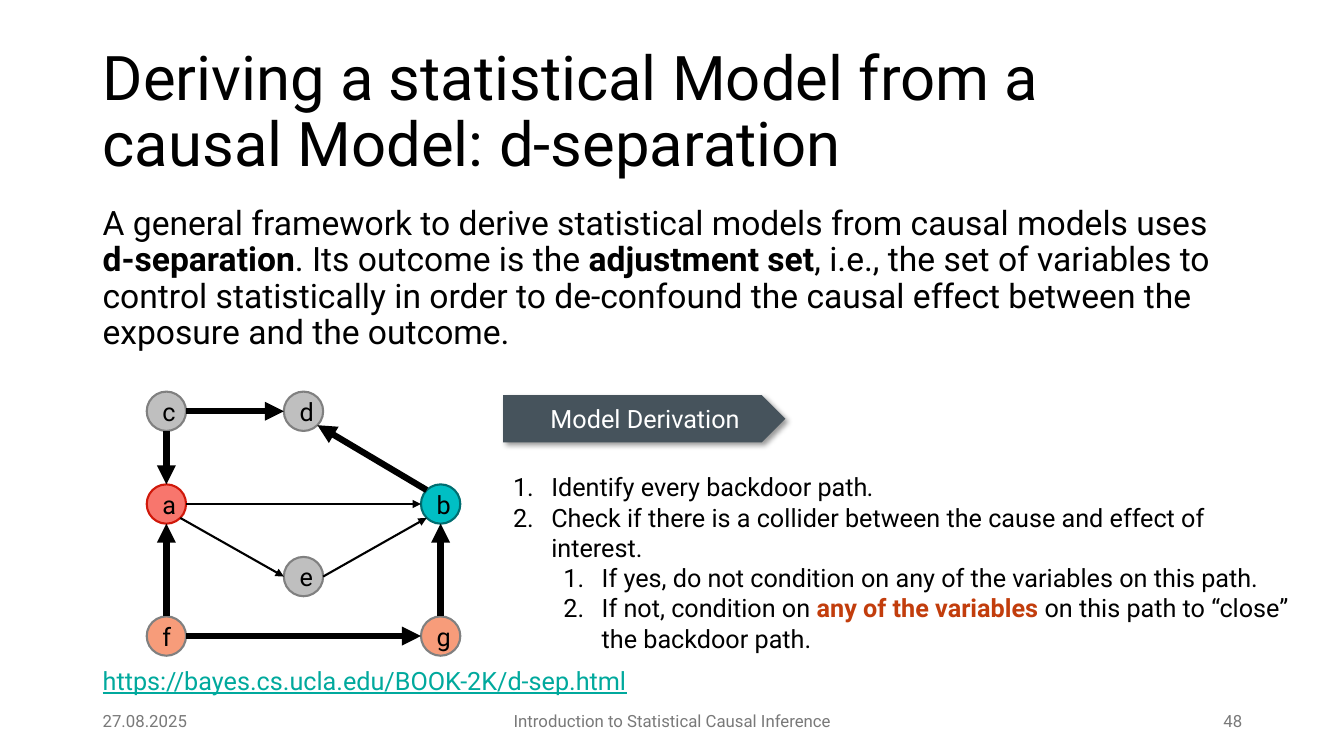
from pptx import Presentation
from pptx.dml.color import RGBColor
from pptx.enum.shapes import MSO_CONNECTOR as Connector, MSO_SHAPE as Preset
from pptx.enum.text import MSO_ANCHOR as Anchor, PP_ALIGN as Align
from pptx.oxml import parse_xml
from pptx.oxml.ns import nsdecls
from pptx.util import Inches, Pt

THEME = {
    "font": "Roboto",
    "title": 44, "body": 24, "text": 18, "footer": 12,
    "black": "000000", "white": "FFFFFF", "muted": "797979",
    "link": "00A99D", "accent": "C23D0C", "banner": "46535C",
    "exposure": ("F8766D", "D0180A"), "outcome": ("00BFC4", "006D70"),
    "neutral": ("BFBFBF", "808080"), "adjusted": ("F79C7A", "808080"),
    "thin": 1.5, "thick": 4.5,
}

TITLE = [("Deriving a statistical Model from a causal Model: d-separation", {})]
BODY = [
    ("A general framework to derive statistical models from causal models uses ", {}),
    ("d-separation", {"bold": True}),
    (". Its outcome is the ", {}),
    ("adjustment set", {"bold": True}),
    (", i.e., the set of variables to control statistically in order to de-confound "
     "the causal effect between the exposure and the outcome.", {}),
]
LINK = [("https://bayes.cs.ucla.edu/BOOK-2K/d-sep.html", {"underline": True})]
BANNER = [("Model Derivation", {})]
STEPS = [
    (0, [("Identify every backdoor path", {}), (".", {"italic": True})]),
    (0, [("Check if there is a collider between the cause and effect of interest.", {})]),
    (1, [("If yes, do not condition on any of the variables on this path.", {})]),
    (1, [("If not, condition on ", {}),
         ("any of the variables ", {"bold": True, "color": "accent"}),
         ("on this path to “close” the backdoor path.", {})]),
]
FOOTERS = [
    ("27.08.2025", 0.92, 3, Align.LEFT),
    ("Introduction to Statistical Causal Inference", 4.42, 4.5, Align.CENTER),
    ("48", 9.42, 3, Align.RIGHT),
]
COLUMNS = (1.65, 3.01, 4.37)
ROWS = (4.08, 5.0, 5.72, 6.31)
NODE_SIZE = 0.39
NODES = {
    "a": (0, 1, "exposure"), "b": (2, 1, "outcome"), "c": (0, 0, "neutral"),
    "d": (1, 0, "neutral"), "e": (1, 2, "neutral"), "f": (0, 3, "adjusted"),
    "g": (2, 3, "adjusted"),
}
DIAGONAL = 0.71
SIDES = {
    "top": (0, -1), "bottom": (0, 1), "left": (-1, 0), "right": (1, 0),
    "top left": (-DIAGONAL, -DIAGONAL), "bottom left": (-DIAGONAL, DIAGONAL),
    "bottom right": (DIAGONAL, DIAGONAL), "top right": (DIAGONAL, -DIAGONAL),
}
EDGES = [
    ("a", "right", "b", "left", "thin"),
    ("e", "right", "b", "bottom left", "thin"),
    ("a", "bottom right", "e", "left", "thin"),
    ("c", "bottom", "a", "top", "thick"),
    ("c", "right", "d", "left", "thick"),
    ("b", "top left", "d", "bottom right", "thick"),
    ("f", "top", "a", "bottom", "thick"),
    ("f", "right", "g", "left", "thick"),
    ("g", "top", "b", "bottom", "thick"),
]


def rgb(value):
    return RGBColor.from_string(value)


def write(paragraph, runs, size="text", color="black", **formats):
    for name, value in formats.items():
        setattr(paragraph, name, value)
    for text, style in runs:
        run = paragraph.add_run()
        run.text = text
        style = dict(style)
        run.font.color.rgb = rgb(THEME[style.pop("color", color)])
        values = {"name": THEME["font"], "size": Pt(THEME[size]), **style}
        for name, value in values.items():
            setattr(run.font, name, value)


def add_box(slide, place, anchor=Anchor.TOP):
    frame = slide.shapes.add_textbox(*map(Inches, place)).text_frame
    frame.word_wrap = True
    frame.vertical_anchor = anchor
    return frame


def add_filled(slide, preset, place, fill):
    shape = slide.shapes.add_shape(preset, *map(Inches, place))
    shape.shadow.inherit = False
    shape.fill.solid()
    shape.fill.fore_color.rgb = rgb(fill)
    shape.text_frame.word_wrap = True
    shape.text_frame.vertical_anchor = Anchor.MIDDLE
    return shape


def add_banner(slide):
    shape = add_filled(slide, Preset.PENTAGON, (4.99, 3.92, 2.8, 0.47), THEME["banner"])
    shape.line.fill.background()
    shape.text_frame.margin_left = Inches(0.47)
    write(shape.text_frame.paragraphs[0], BANNER, color="white", alignment=Align.LEFT)
    shape.element.spPr.find("{*}effectLst").append(parse_xml(
        f'<a:outerShdw {nsdecls("a")} blurRad="{Pt(4)}" dist="{Pt(3)}" dir="2700000" '
        f'algn="tl" rotWithShape="0"><a:srgbClr val="{THEME["black"]}">'
        '<a:alpha val="40000"/></a:srgbClr></a:outerShdw>'))


def add_steps(slide):
    frame = add_box(slide, (4.99, 4.63, 7.93, 1.62))
    for index, (level, runs) in enumerate(STEPS):
        paragraph = frame.add_paragraph() if index else frame.paragraphs[0]
        paragraph.level = level
        properties = paragraph._p.get_or_add_pPr()
        properties.set("marL", str(Inches(0.38 + 0.5 * level)))
        properties.set("indent", str(Inches(-0.38)))
        properties.append(parse_xml(f'<a:buAutoNum {nsdecls("a")} type="arabicPeriod"/>'))
        write(paragraph, runs)


def add_node(slide, label, column, row, role):
    fill, outline = THEME[role]
    place = (COLUMNS[column] - NODE_SIZE / 2, ROWS[row] - NODE_SIZE / 2, NODE_SIZE, NODE_SIZE)
    shape = add_filled(slide, Preset.OVAL, place, fill)
    shape.line.color.rgb = rgb(outline)
    shape.line.width = Pt(THEME["thin"])
    write(shape.text_frame.paragraphs[0], [(label, {})], alignment=Align.CENTER)


def node_point(label, side):
    column, row, _ = NODES[label]
    across, down = SIDES[side]
    radius = NODE_SIZE / 2
    return Inches(COLUMNS[column] + across * radius), Inches(ROWS[row] + down * radius)


def add_edge(slide, start, start_side, end, end_side, weight):
    connector = slide.shapes.add_connector(
        Connector.STRAIGHT, *node_point(start, start_side), *node_point(end, end_side))
    connector.line.color.rgb = rgb(THEME["black"])
    connector.line.width = Pt(THEME[weight])
    connector.line._get_or_add_ln().append(
        parse_xml(f'<a:tailEnd {nsdecls("a")} type="triangle"/>'))
    connector._element.spPr.append(parse_xml(f'<a:effectLst {nsdecls("a")}/>'))


def main():
    presentation = Presentation()
    presentation.slide_width = Inches(13.33)
    presentation.slide_height = Inches(7.5)
    slide = presentation.slides.add_slide(presentation.slide_layouts[6])

    title = add_box(slide, (0.92, 0.4, 10.4, 1.45), Anchor.MIDDLE)
    write(title.paragraphs[0], TITLE, "title", line_spacing=0.9)
    body = add_box(slide, (0.92, 2, 11.5, 1.75))
    write(body.paragraphs[0], BODY, "body", line_spacing=0.9)
    for text, left, width, alignment in FOOTERS:
        footer = add_box(slide, (left, 6.95, width, 0.4), Anchor.MIDDLE)
        write(footer.paragraphs[0], [(text, {})], "footer", "muted", alignment=alignment)
    link = add_box(slide, (0.92, 6.55, 6.67, 0.4))
    write(link.paragraphs[0], LINK, color="link")

    add_steps(slide)
    add_banner(slide)
    for label, node in NODES.items():
        add_node(slide, label, *node)
    for edge in EDGES:
        add_edge(slide, *edge)
    presentation.save("out.pptx")


if __name__ == "__main__":
    main()
